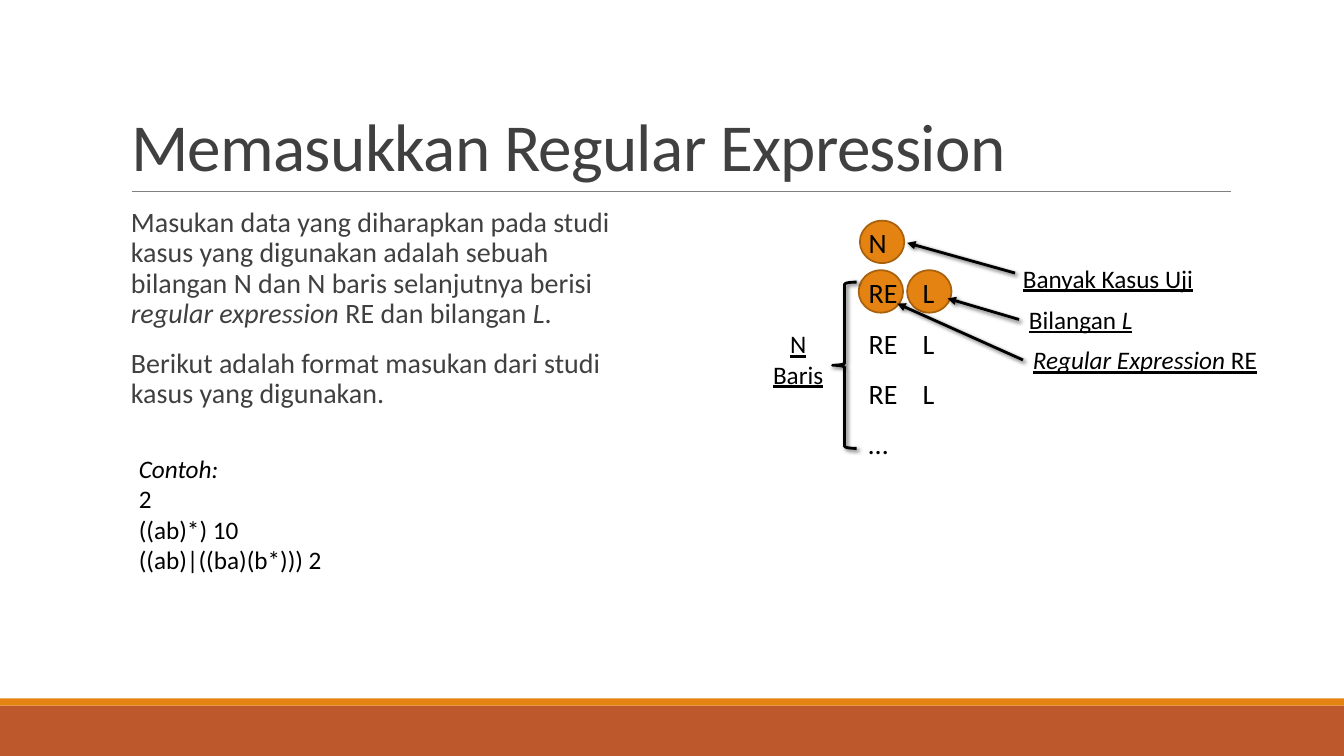
from pptx import Presentation
from pptx.dml.color import RGBColor
from pptx.enum.shapes import MSO_CONNECTOR, MSO_SHAPE
from pptx.enum.text import MSO_ANCHOR, MSO_AUTO_SIZE, PP_ALIGN
from pptx.oxml import parse_xml
from pptx.oxml.ns import nsdecls
from pptx.util import Cm, Pt

BLACK = RGBColor(0x00, 0x00, 0x00)
DARK = RGBColor(0x40, 0x40, 0x40)
GREY = RGBColor(0x80, 0x80, 0x80)
ORANGE = RGBColor(0xE4, 0x83, 0x12)
BROWN = RGBColor(0xA9, 0x61, 0x0D)
RUST = RGBColor(0xBD, 0x58, 0x2C)


def write(tf, paragraphs, size=18, color=BLACK, underline=None, align=PP_ALIGN.LEFT,
          spacing=None, before=None, after=None):
    """Fill a text frame; each paragraph is a list of (text, italic) runs."""
    for i, runs in enumerate(paragraphs):
        p = tf.paragraphs[0] if i == 0 else tf.add_paragraph()
        p.alignment = align
        p.line_spacing = spacing
        p.space_before, p.space_after = before, after
        for text, italic in runs:
            r = p.add_run()
            r.text = text
            r.font.name = "Calibri"
            r.font.size = Pt(size)
            r.font.color.rgb = color
            r.font.italic = italic
            r.font.underline = underline


def draw_black(sp):
    """Give a shape or connector a thick black line with a soft shadow."""
    sp.line.color.rgb = BLACK
    sp.line.width = Pt(2)
    sp._element.spPr.append(parse_xml(
        f'<a:effectLst {nsdecls("a")}><a:outerShdw blurRad="38100" dist="25400" '
        'dir="2700000" rotWithShape="0"><a:srgbClr val="000000">'
        '<a:alpha val="60000"/></a:srgbClr></a:outerShdw></a:effectLst>'))


prs = Presentation()
prs.slide_width, prs.slide_height = Cm(33.87), Cm(19.05)
s = prs.slides.add_slide(prs.slide_layouts[5])

# Footer bands
for top, height, color in [(17.78, 1.27, RUST), (17.6, 0.18, ORANGE)]:
    sp = s.shapes.add_shape(MSO_SHAPE.RECTANGLE, 0, Cm(top), prs.slide_width, Cm(height))
    sp.shadow.inherit = False
    sp.fill.solid()
    sp.fill.fore_color.rgb = color
    sp.line.fill.background()

# Title and rule
title = s.shapes.title
title.left, title.top, title.width, title.height = Cm(3.05), Cm(0.76), Cm(27.94), Cm(4.04)
tf = title.text_frame
tf.auto_size = MSO_AUTO_SIZE.NONE
tf.vertical_anchor = MSO_ANCHOR.BOTTOM
write(tf, [[("Memasukkan Regular Expression", False)]], size=48, color=DARK, spacing=0.85)
tf.paragraphs[0].runs[0].font._element.set("spc", "-50")

rule = s.shapes.add_connector(MSO_CONNECTOR.STRAIGHT, Cm(3.33), Cm(4.82), Cm(31.01), Cm(4.82))
rule.line.color.rgb = GREY
rule.line.width = Pt(0.5)
rule._element.spPr.append(parse_xml(f'<a:effectLst {nsdecls("a")}/>'))

# Explanation
tf = s.shapes.add_textbox(Cm(3.05), Cm(5.13), Cm(12.98), Cm(11.18)).text_frame
tf.word_wrap = True
tf.margin_left, tf.margin_right = Cm(0.25), 0
write(tf, [
    [("Masukan data yang diharapkan pada studi kasus yang digunakan adalah sebuah "
      "bilangan N dan N baris selanjutnya berisi ", False),
     ("regular expression ", True), ("RE dan bilangan ", False), ("L", True), (".", False)],
    [("Berikut adalah format masukan dari studi kasus yang digunakan.", False)],
], size=20, color=DARK, spacing=0.9, before=Pt(12), after=Pt(2))

# Highlight circles
for left, top in [(22.86, 6.81), (21.64, 6.81), (21.67, 5.56)]:
    sp = s.shapes.add_shape(MSO_SHAPE.OVAL, Cm(left), Cm(top), Cm(1.12), Cm(1.07))
    sp.shadow.inherit = False
    sp.fill.solid()
    sp.fill.fore_color.rgb = ORANGE
    sp.line.color.rgb = BROWN
    sp.line.width = Pt(1.25)

# Arrows from the labels to the circles
for x1, y1, x2, y2 in [(25.78, 9.07, 22.61, 7.65), (25.68, 8.05, 23.88, 7.52),
                       (25.58, 6.88, 22.86, 6.12)]:
    arrow = s.shapes.add_connector(MSO_CONNECTOR.STRAIGHT, Cm(x1), Cm(y1), Cm(x2), Cm(y2))
    draw_black(arrow)
    arrow.line._get_or_add_ln().append(parse_xml(f'<a:tailEnd {nsdecls("a")} type="triangle"/>'))

# Labels
for left, top, width, runs in [
    (25.53, 6.5, 4.85, [("Banyak Kasus Uji", False)]),
    (25.78, 8.56, 6.22, [("Regular Expression ", True), ("RE", False)]),
    (25.68, 7.54, 3.23, [("Bilangan ", False), ("L", True)]),
]:
    tf = s.shapes.add_textbox(Cm(left), Cm(top), Cm(width), Cm(1.02)).text_frame
    tf.word_wrap = False
    write(tf, [runs], underline=True)

# Brace and row count
brace = s.shapes.add_shape(MSO_SHAPE.LEFT_BRACE, Cm(20.98), Cm(7.11), Cm(0.61), Cm(4.19))
brace.fill.background()
draw_black(brace)

count = s.shapes.add_shape(MSO_SHAPE.OVAL, Cm(18.72), Cm(8.41), Cm(2.79), Cm(1.27))
count.shadow.inherit = False
count.fill.background()
count.line.fill.background()
count.text_frame.vertical_anchor = MSO_ANCHOR.MIDDLE
write(count.text_frame, [[("N Baris", False)]], underline=True, align=PP_ALIGN.CENTER)

# Input format, with a tab stop for the L column
tf = s.shapes.add_textbox(Cm(21.64), Cm(5.13), Cm(2.84), Cm(6.68)).text_frame
tf.word_wrap = True
rows = ["N"] + ["RE\tL"] * 3 + ["…"]
write(tf, [[(row, False)] for row in rows], size=20, spacing=1.5)
for p in tf.paragraphs:
    p._p.get_or_add_pPr().append(parse_xml(
        f'<a:tabLst {nsdecls("a")}><a:tab pos="{Cm(1.36)}" algn="l"/></a:tabLst>'))

# Example
tf = s.shapes.add_textbox(Cm(3.25), Cm(11.3), Cm(5.28), Cm(3.33)).text_frame
tf.word_wrap = True
write(tf, [[("Contoh:", True)], [("2", False)], [("((ab)*) 10", False)],
           [("((ab)|((ba)(b*))) 2", False)]])

prs.save("out.pptx")
